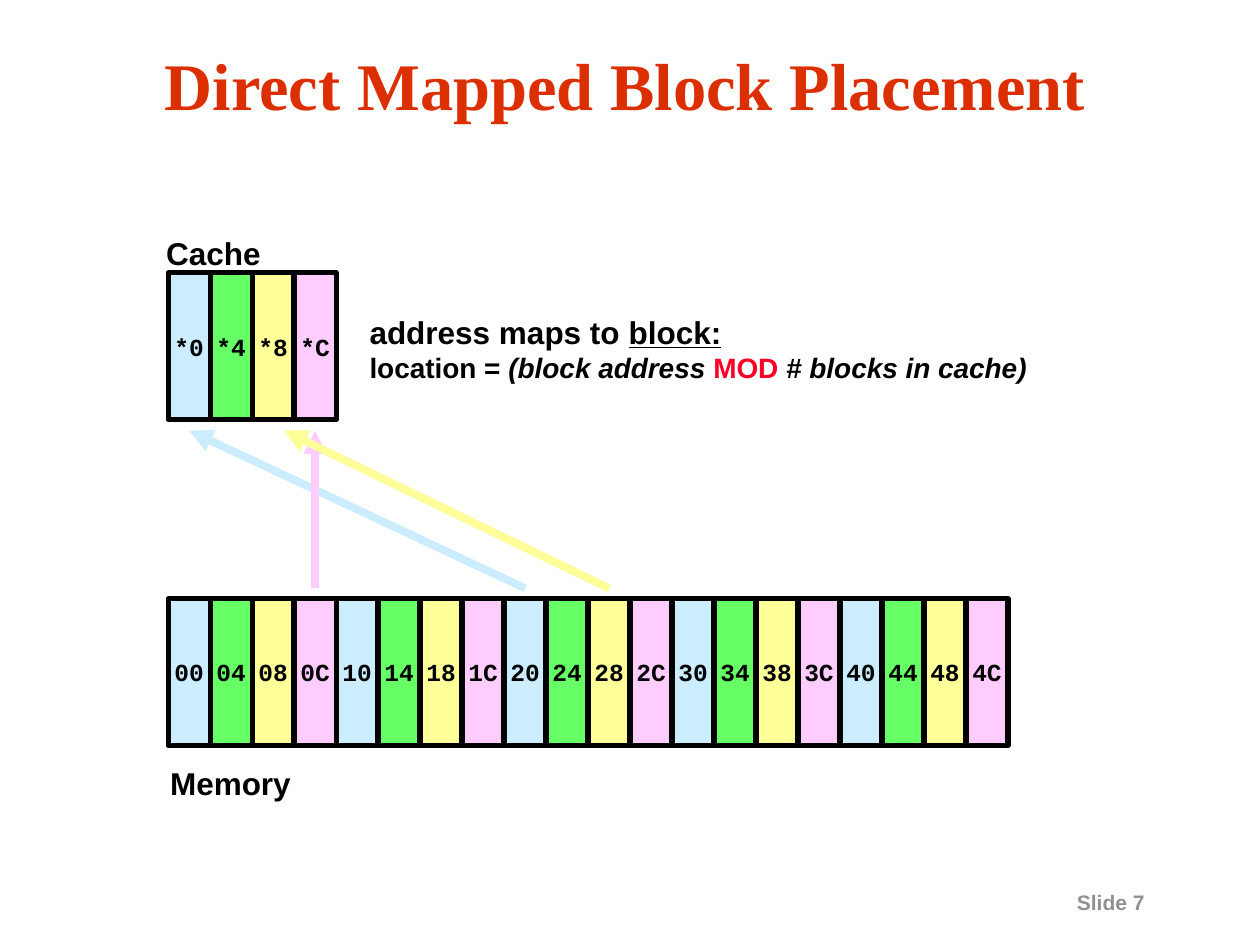
from dataclasses import dataclass

import lxml.etree
import pptx
import pptx.dml.color
import pptx.enum.shapes
import pptx.enum.text
import pptx.oxml.ns
import pptx.util

Cm = pptx.util.Cm
Pt = pptx.util.Pt
ALIGN = pptx.enum.text.PP_ALIGN
ANCHOR = pptx.enum.text.MSO_ANCHOR


@dataclass(frozen=True)
class Theme:
    title: str = "DC2F00"
    text: str = "000000"
    accent: str = "FC0128"
    muted: str = "919191"
    blocks: tuple = ("CCECFF", "66FF66", "FFFF99", "FFCCFF")
    serif: str = "Times New Roman"
    sans: str = "Arial"
    mono: str = "Courier New"
    title_size: int = 38
    label_size: int = 18
    formula_size: int = 16
    block_size: int = 14
    footer_size: int = 12
    border: float = 3
    arrow: float = 4.5


THEME = Theme()


def rgb(color):
    return pptx.dml.color.RGBColor.from_string(color)


def style(r, size, font=THEME.sans, color=THEME.text, italic=False, underline=False):
    r.font.name = font
    r.font.size = Pt(size)
    r.font.bold = True
    r.font.italic = italic
    r.font.underline = underline
    r.font.color.rgb = rgb(color)


def add_text(shapes, box, text, size, wrap=True, anchor=ANCHOR.MIDDLE, **font):
    sp = shapes.add_textbox(*map(Cm, box))
    tf = sp.text_frame
    tf.word_wrap = wrap
    tf.vertical_anchor = anchor
    p = tf.paragraphs[0]
    p.text = text
    style(p.runs[0], size, **font)
    return p


def add_title(s, box):
    p = add_text(s.shapes, box, "Direct Mapped Block Placement", THEME.title_size,
                 font=THEME.serif, color=THEME.title)
    p.alignment = ALIGN.CENTER
    p.line_spacing = 0.9


def add_blocks(s, box, names, label, label_box):
    left, top, width, height = box
    pitch = width / len(names)
    shapes = s.shapes.add_group_shape().shapes
    for i, name in enumerate(names):
        sp = shapes.add_shape(pptx.enum.shapes.MSO_SHAPE.RECTANGLE,
                              Cm(left + i * pitch), Cm(top), Cm(pitch), Cm(height))
        sp.shadow.inherit = False
        sp.fill.solid()
        sp.fill.fore_color.rgb = rgb(THEME.blocks[i % len(THEME.blocks)])
        sp.line.color.rgb = rgb(THEME.text)
        sp.line.width = Pt(THEME.border)
        tf = sp.text_frame
        tf.word_wrap = False
        tf.vertical_anchor = ANCHOR.MIDDLE
        p = tf.paragraphs[0]
        p.text = name
        p.alignment = ALIGN.CENTER
        style(p.runs[0], THEME.block_size, font=THEME.mono)
    dx, dy, w, h = label_box
    add_text(shapes, (left + dx, top + dy, w, h), label, THEME.label_size, wrap=False)


def add_arrows(s, box, pitch, links):
    left, top, height = box
    qn = pptx.oxml.ns.qn
    for source, target, color in links:
        cn = s.shapes.add_connector(
            pptx.enum.shapes.MSO_CONNECTOR.STRAIGHT,
            Cm(left + source * pitch), Cm(top + height),
            Cm(left + target * pitch), Cm(top))
        cn.line.color.rgb = rgb(color)
        cn.line.width = Pt(THEME.arrow)
        ln = cn.line._get_or_add_ln()
        lxml.etree.SubElement(ln, qn("a:tailEnd"), type="triangle")
        lxml.etree.SubElement(cn._element.spPr, qn("a:effectLst"))


def add_mapping_rule(s, box):
    p = add_text(s.shapes, box, "address maps to ", THEME.label_size)
    r = p.add_run()
    r.text = "block:"
    style(r, THEME.label_size, underline=True)
    p = p._parent.add_paragraph()
    for text, color, italic in (
        ("location = ", THEME.text, False),
        ("(block address ", THEME.text, True),
        ("MOD", THEME.accent, False),
        (" # blocks in cache)", THEME.text, True),
    ):
        r = p.add_run()
        r.text = text
        style(r, THEME.formula_size, color=color, italic=italic)


def add_footer(s, box):
    add_text(s.shapes, box, "Slide 7", THEME.footer_size,
             anchor=ANCHOR.TOP, color=THEME.muted)


def main():
    prs = pptx.Presentation()
    prs.slide_width, prs.slide_height = Cm(25.4), Cm(19.05)
    s = prs.slides.add_slide(prs.slide_layouts[6])

    left, height, memory_width = 3.39, 2.96, 16.93
    cache_names = [f"*{4 * i:X}" for i in range(4)]
    memory_names = [f"{4 * i:02X}" for i in range(20)]
    pitch = memory_width / len(memory_names)
    blue, _, yellow, pink = THEME.blocks

    add_footer(s, (21.46, 17.81, 3.68, 0.76))
    add_title(s, (0.64, 0.84, 23.93, 1.9))
    add_blocks(s, (left, 5.5, pitch * len(cache_names), height), cache_names,
               "Cache", (-0.29, -0.92, 2.41, 1.02))
    add_blocks(s, (left, 12.07, memory_width, height), memory_names,
               "Memory", (-0.21, 3.2, 2.95, 1.02))
    add_arrows(s, (left, 8.68, 3.18), pitch,
               ((8.5, 0.5, blue), (3.5, 3.5, pink), (10.5, 2.75, yellow)))
    add_mapping_rule(s, (7.2, 6.17, 15.67, 1.7))

    prs.save("out.pptx")


if __name__ == "__main__":
    main()
